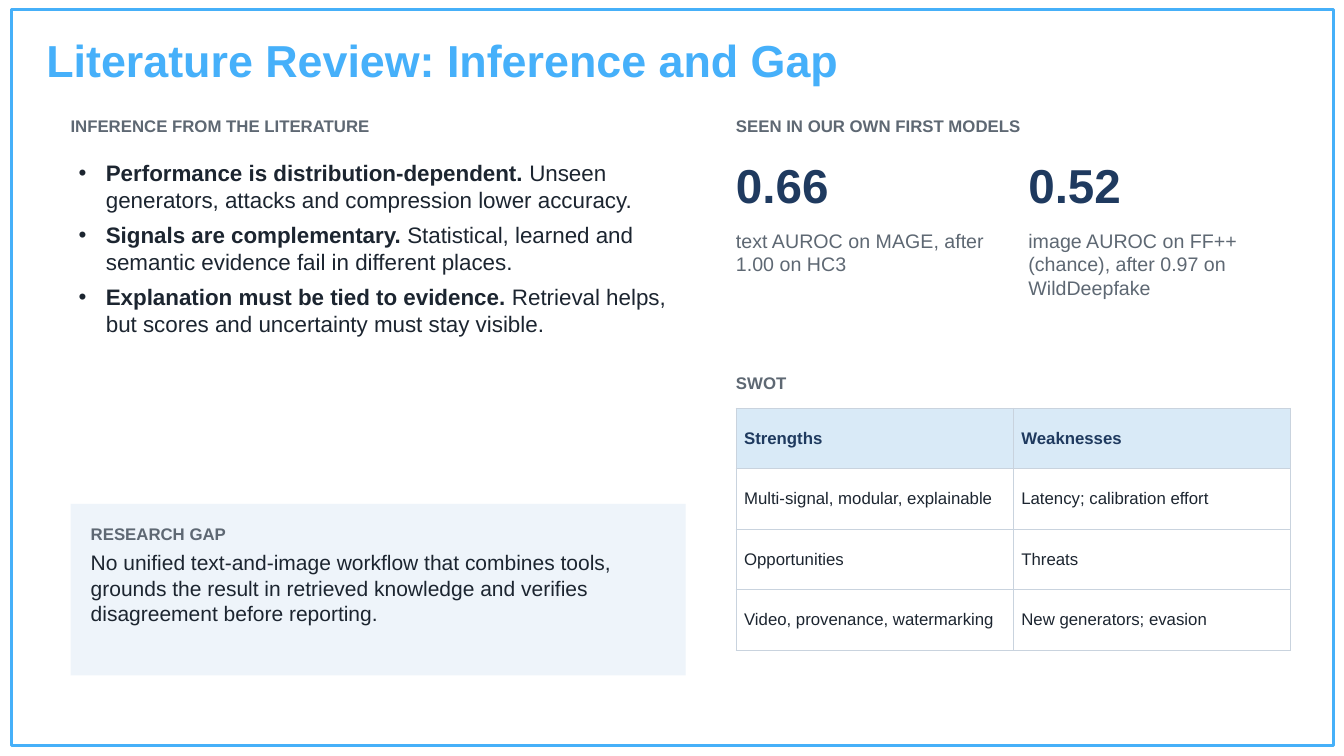
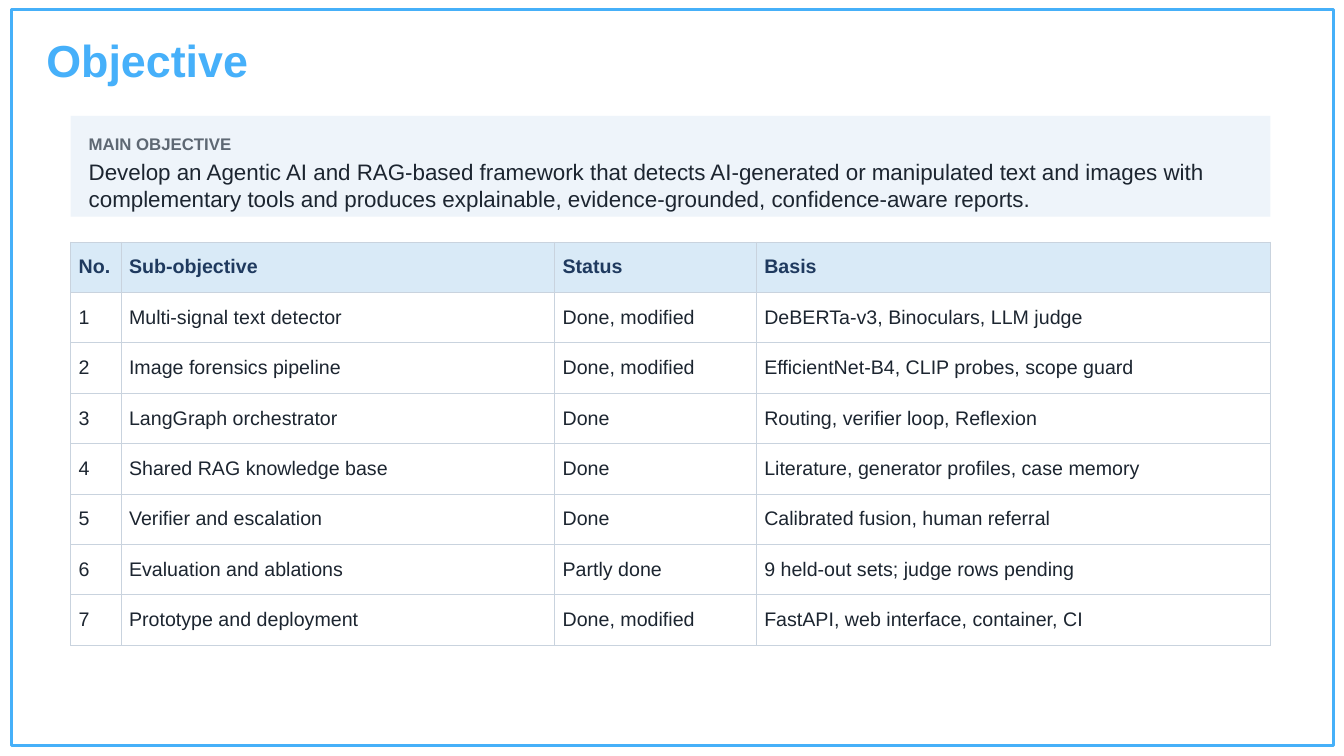
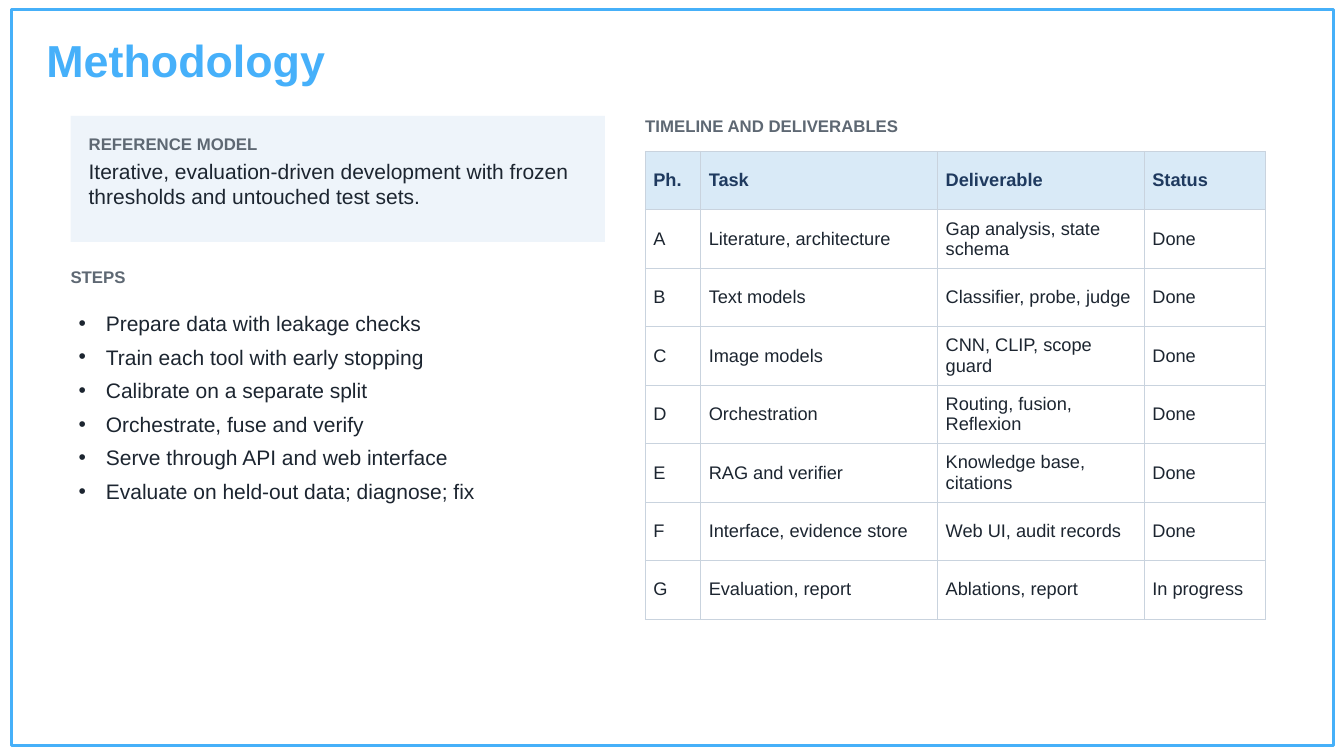
from lxml import etree
from pptx import Presentation
from pptx import util as u
from pptx.dml.color import RGBColor
from pptx.enum import shapes, text
from pptx.oxml import ns

FONT = "Arial"
SKY, EDGE, NAVY, INK, GREY = "46B0FA", "46B0F9", "1F3A5F", "1C2530", "5E6873"
PANEL, HEAD, WHITE, RULE = "EEF4FA", "D9EAF7", "FFFFFF", "C9D3DE"
WIDE, HIGH = 13.33, 7.5
LEFT, TOP = 0.7, 1.15
LABEL = 0.35


def rgb(code):
    return RGBColor.from_string(code)


def inch(box):
    return [u.Inches(n) for n in box]


def place(shape, box):
    shape.left, shape.top, shape.width, shape.height = inch(box)


def frame(shape, pads, anchor=text.MSO_ANCHOR.TOP):
    """Set insets, wrapping and anchor of a shape's text, and return it."""
    tf = shape.text_frame
    tf.margin_left, tf.margin_top, tf.margin_right, tf.margin_bottom = inch(pads)
    tf.word_wrap = True
    tf.auto_size = text.MSO_AUTO_SIZE.NONE
    tf.vertical_anchor = anchor
    return tf


def write(para, runs, size, color, after=0):
    """Fill a paragraph with (words, bold) runs."""
    para.alignment = text.PP_ALIGN.LEFT
    para.space_before, para.space_after = u.Pt(0), u.Pt(after)
    for words, bold in runs:
        run = para.add_run()
        run.text = words
        font = run.font
        font.name, font.size, font.bold = FONT, u.Pt(size), bold
        font.color.rgb = rgb(color)


def line(slide, box, words, size=12, color=GREY, bold=True):
    tf = frame(slide.shapes.add_textbox(*inch(box)), [0] * 4)
    write(tf.paragraphs[0], [(words, bold)], size, color, 4)


def label(slide, x, y, words):
    line(slide, (x, y, 5, LABEL), words)


def block(slide, box):
    shape = slide.shapes.add_shape(shapes.MSO_SHAPE.RECTANGLE, *inch(box))
    shape.shadow.inherit = False
    return shape


def panel(slide, box, head, words, size, pad=0.18, gap=3):
    shape = block(slide, box)
    shape.fill.solid()
    shape.fill.fore_color.rgb = rgb(PANEL)
    shape.line.fill.background()
    tf = frame(shape, [pad] * 4)
    write(tf.paragraphs[0], [(head, True)], 12, GREY, gap)
    write(tf.add_paragraph(), [(words, False)], size, INK, 4)


def bullets(slide, box, items, size):
    """Fill the body placeholder with a list; each item is a list of runs."""
    body = slide.placeholders[1]
    place(body, box)
    tf = frame(body, [0.08] * 4)
    for i, runs in enumerate(items):
        para = tf.add_paragraph() if i else tf.paragraphs[0]
        props = para._p.get_or_add_pPr()
        props.set("marL", str(u.Inches(0.27)))
        props.set("indent", str(-u.Inches(0.27)))
        etree.SubElement(props, ns.qn("a:buChar"), char="•")
        write(para, runs, size, INK, 6)


def border(cell):
    props = cell._tc.get_or_add_tcPr()
    for i, side in enumerate("LRTB"):
        edge = etree.Element(ns.qn("a:ln" + side), w=str(u.Pt(0.5)))
        fill = etree.SubElement(edge, ns.qn("a:solidFill"))
        etree.SubElement(fill, ns.qn("a:srgbClr"), val=RULE)
        props.insert(i, edge)


def grid(slide, x, y, cols, row, size, data):
    """Draw a table from column widths, one row height and rows of words."""
    box = inch((x, y, sum(cols), row * len(data)))
    table = slide.shapes.add_table(len(data), len(cols), *box).table
    table.horz_banding = False
    for col, wide in zip(table.columns, cols):
        col.width = u.Inches(wide)
    for r, words in enumerate(data):
        table.rows[r].height = u.Inches(row)
        top = r == 0
        for c, word in enumerate(words):
            cell = table.cell(r, c)
            cell.fill.solid()
            cell.fill.fore_color.rgb = rgb(HEAD if top else WHITE)
            border(cell)
            cell.vertical_anchor = text.MSO_ANCHOR.MIDDLE
            cell.margin_left = cell.margin_right = u.Inches(0.08)
            cell.margin_top = cell.margin_bottom = u.Inches(0.05)
            para = cell.text_frame.paragraphs[0]
            write(para, [(word, top)], size, NAVY if top else INK)


def start(prs, title, layout=1):
    slide = prs.slides.add_slide(prs.slide_layouts[layout])
    head = slide.shapes.title
    place(head, (0.36, 0.27, 10.39, 0.64))
    tf = frame(head, (0.1, 0.05, 0.1, 0.05), text.MSO_ANCHOR.BOTTOM)
    write(tf.paragraphs[0], [(title, True)], 32, SKY)
    return slide


def rim(prs, slide):
    """Draw the page border once and hand it to the slide master."""
    edge = block(slide, (0.11, 0.09, WIDE - 0.21, HIGH - 0.19))
    edge.fill.background()
    edge.line.color.rgb = rgb(EDGE)
    edge.line.width = u.Pt(2.25)
    prs.slide_master.element.cSld.spTree.insert(2, edge.element)


def score(slide, x, y, value, note):
    line(slide, (x, y, 2.6, 0.75), value, 34, NAVY)
    line(slide, (x, y + 0.72, 2.6, 0.9), note, 14, GREY, False)


def review(prs):
    slide = start(prs, "Literature Review: Inference and Gap")
    rim(prs, slide)
    wide, right = 6.1, 7.3
    label(slide, LEFT, TOP, "INFERENCE FROM THE LITERATURE")
    points = [
        ("Performance is distribution-dependent.",
         " Unseen generators, attacks and compression lower accuracy."),
        ("Signals are complementary.",
         " Statistical, learned and semantic evidence fail in different places."),
        ("Explanation must be tied to evidence.",
         " Retrieval helps, but scores and uncertainty must stay visible."),
    ]
    bullets(slide, (LEFT, TOP + LABEL, wide, 3.3),
            [[(lead, True), (rest, False)] for lead, rest in points], 16)
    panel(slide, (LEFT, 5, wide, 1.7), "RESEARCH GAP",
          "No unified text-and-image workflow that combines tools, grounds the "
          "result in retrieved knowledge and verifies disagreement before "
          "reporting.", 15, 0.2, 4)
    label(slide, right, TOP, "SEEN IN OUR OWN FIRST MODELS")
    scores = [
        ("0.66", "text AUROC on MAGE, after 1.00 on HC3"),
        ("0.52", "image AUROC on FF++ (chance), after 0.97 on WildDeepfake"),
    ]
    for i, (value, note) in enumerate(scores):
        score(slide, right + 2.9 * i, TOP + 0.4, value, note)
    label(slide, right, 3.7, "SWOT")
    grid(slide, right, 3.7 + LABEL, [2.75] * 2, 0.6, 12, [
        ("Strengths", "Weaknesses"),
        ("Multi-signal, modular, explainable", "Latency; calibration effort"),
        ("Opportunities", "Threats"),
        ("Video, provenance, watermarking", "New generators; evasion"),
    ])


def goal(prs):
    slide = start(prs, "Objective", 5)
    cols = [0.5, 4.3, 2, 5.1]
    panel(slide, (LEFT, TOP, sum(cols), 1), "MAIN OBJECTIVE",
          "Develop an Agentic AI and RAG-based framework that detects "
          "AI-generated or manipulated text and images with complementary tools "
          "and produces explainable, evidence-grounded, confidence-aware "
          "reports.", 16)
    grid(slide, LEFT, TOP + 1.25, cols, 0.5, 14, [
        ("No.", "Sub-objective", "Status", "Basis"),
        ("1", "Multi-signal text detector", "Done, modified",
         "DeBERTa-v3, Binoculars, LLM judge"),
        ("2", "Image forensics pipeline", "Done, modified",
         "EfficientNet-B4, CLIP probes, scope guard"),
        ("3", "LangGraph orchestrator", "Done",
         "Routing, verifier loop, Reflexion"),
        ("4", "Shared RAG knowledge base", "Done",
         "Literature, generator profiles, case memory"),
        ("5", "Verifier and escalation", "Done",
         "Calibrated fusion, human referral"),
        ("6", "Evaluation and ablations", "Partly done",
         "9 held-out sets; judge rows pending"),
        ("7", "Prototype and deployment", "Done, modified",
         "FastAPI, web interface, container, CI"),
    ])


def method(prs):
    slide = start(prs, "Methodology")
    wide, right = 5.3, 6.4
    panel(slide, (LEFT, TOP, wide, 1.25), "REFERENCE MODEL",
          "Iterative, evaluation-driven development with frozen thresholds and "
          "untouched test sets.", 15)
    label(slide, LEFT, 2.65, "STEPS")
    steps = [
        "Prepare data with leakage checks",
        "Train each tool with early stopping",
        "Calibrate on a separate split",
        "Orchestrate, fuse and verify",
        "Serve through API and web interface",
        "Evaluate on held-out data; diagnose; fix",
    ]
    bullets(slide, (LEFT, 2.65 + LABEL, wide, 3.8),
            [[(step, False)] for step in steps], 15)
    label(slide, right, TOP, "TIMELINE AND DELIVERABLES")
    grid(slide, right, TOP + LABEL, [0.55, 2.35, 2.05, 1.2], 0.58, 13, [
        ("Ph.", "Task", "Deliverable", "Status"),
        ("A", "Literature, architecture", "Gap analysis, state schema", "Done"),
        ("B", "Text models", "Classifier, probe, judge", "Done"),
        ("C", "Image models", "CNN, CLIP, scope guard", "Done"),
        ("D", "Orchestration", "Routing, fusion, Reflexion", "Done"),
        ("E", "RAG and verifier", "Knowledge base, citations", "Done"),
        ("F", "Interface, evidence store", "Web UI, audit records", "Done"),
        ("G", "Evaluation, report", "Ablations, report", "In progress"),
    ])


def main():
    prs = Presentation()
    prs.slide_width, prs.slide_height = inch((WIDE, HIGH))
    for build in (review, goal, method):
        build(prs)
    prs.save("out.pptx")


if __name__ == "__main__":
    main()
